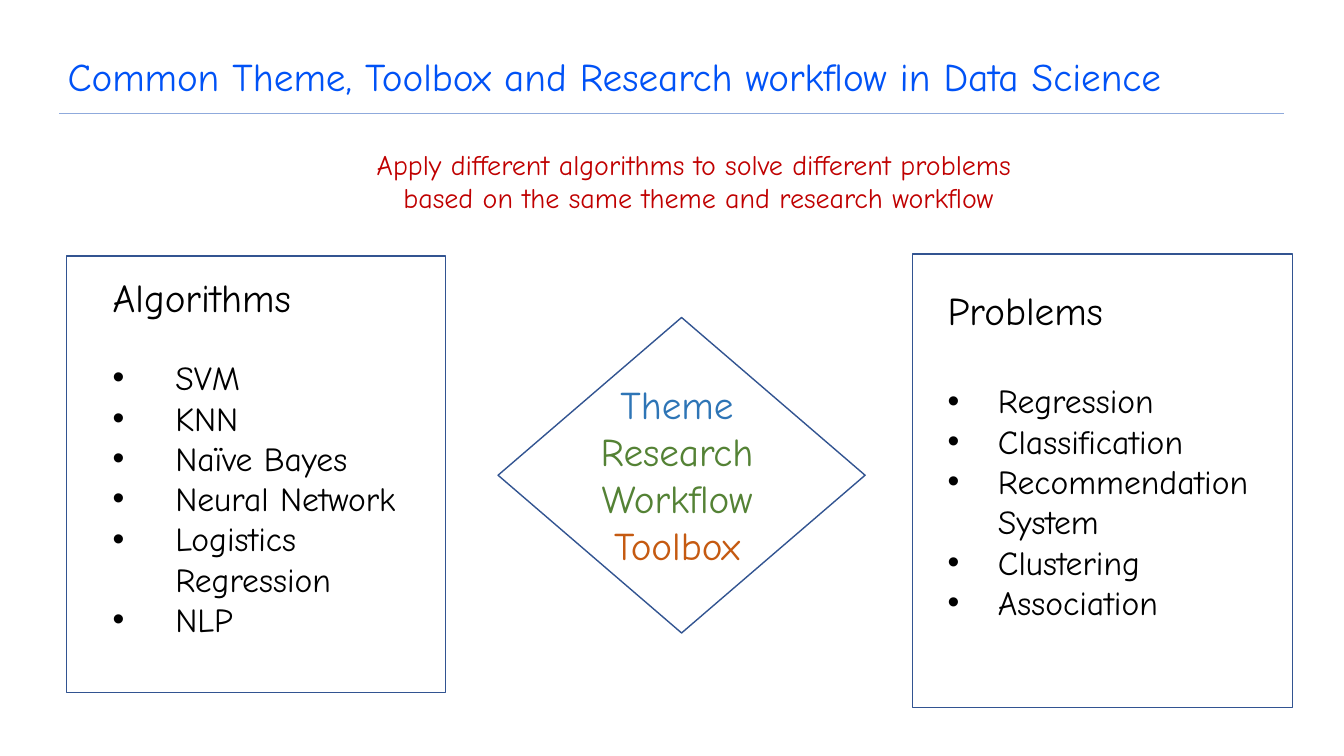
from dataclasses import dataclass
from typing import Any

from lxml import etree
from pptx import Presentation
from pptx import util as u
from pptx.dml import color
from pptx.enum import shapes, text
from pptx.oxml import ns


@dataclass(frozen=True)
class Theme:
    font: str = "Comic Neue"
    title: str = "0052F6"
    rule: str = "8FAADC"
    outline: str = "325491"
    body: str = "000000"
    message: str = "C00000"
    blue: str = "2E75B6"
    green: str = "548235"
    orange: str = "C55A11"
    heading_size: int = 28
    item_size: int = 24
    message_size: int = 20


@dataclass(frozen=True)
class Box:
    left: float
    top: float
    width: float
    height: float

    def lengths(self) -> tuple[u.Length, ...]:
        return tuple(u.Inches(n) for n in (self.left, self.top, self.width, self.height))


@dataclass(frozen=True)
class Line:
    words: str
    size: int
    color: str
    format: dict[str, Any]
    bullet_indent: float = 0


@dataclass(frozen=True)
class Panel:
    heading: str
    items: tuple[str, ...]
    frame: Box
    text_box: Box
    heading_gap: float
    indent: float


THEME = Theme()
CENTRED = {"alignment": text.PP_ALIGN.CENTER}

PANELS = (
    Panel(
        "Algorithms",
        ("SVM", "KNN", "Naïve Bayes", "Neural Network", "Logistics Regression", "NLP"),
        Box(0.66, 2.54, 3.76, 4.33),
        Box(1.02, 2.66, 3.2, 4.58),
        26.4,
        0.62,
    ),
    Panel(
        "Problems",
        ("Regression", "Classification", "Recommendation System", "Clustering", "Association"),
        Box(9.05, 2.52, 3.77, 4.5),
        Box(9.3, 2.79, 3.46, 3.47),
        33.6,
        0.5,
    ),
)


def set_attributes(target: Any, values: dict[str, Any]) -> None:
    for name, value in values.items():
        setattr(target, name, value)


def add_bullet(paragraph: Any, indent: float) -> None:
    properties = paragraph._p.get_or_add_pPr()
    properties.set("marL", str(u.Inches(indent)))
    properties.set("indent", str(-u.Inches(indent)))
    etree.SubElement(properties, ns.qn("a:buFont")).set("typeface", "Arial")
    etree.SubElement(properties, ns.qn("a:buChar")).set("char", "•")


def write_lines(shape: Any, lines: list[Line]) -> None:
    frame = shape.text_frame
    frame.word_wrap = True
    for index, line in enumerate(lines):
        paragraph = frame.add_paragraph() if index else frame.paragraphs[0]
        set_attributes(paragraph, line.format)
        if line.bullet_indent:
            add_bullet(paragraph, line.bullet_indent)
        run = paragraph.add_run()
        run.text = line.words
        set_attributes(run.font, {"name": THEME.font, "size": u.Pt(line.size)})
        run.font.color.rgb = color.RGBColor.from_string(line.color)


def add_text(slide: Any, box: Box, lines: list[Line]) -> None:
    write_lines(slide.shapes.add_textbox(*box.lengths()), lines)


def add_outline(slide: Any, kind: shapes.MSO_SHAPE, box: Box) -> None:
    shape = slide.shapes.add_shape(kind, *box.lengths())
    shape.shadow.inherit = False
    shape.fill.background()
    shape.line.color.rgb = color.RGBColor.from_string(THEME.outline)
    shape.line.width = u.Pt(1)


def add_title(slide: Any, words: str) -> None:
    title = slide.shapes.title
    names = ("left", "top", "width", "height")
    set_attributes(title, dict(zip(names, Box(0.57, 0.34, 12.25, 0.7).lengths())))
    title.text_frame.vertical_anchor = text.MSO_ANCHOR.BOTTOM
    layout = {"alignment": text.PP_ALIGN.LEFT, "line_spacing": 0.9}
    write_lines(title, [Line(words, THEME.heading_size, THEME.title, layout)])


def add_rule(slide: Any) -> None:
    ends = (u.Inches(n) for n in (0.59, 1.12, 12.74, 1.12))
    rule = slide.shapes.add_connector(shapes.MSO_CONNECTOR.STRAIGHT, *ends)
    rule.line.color.rgb = color.RGBColor.from_string(THEME.rule)
    rule.line.width = u.Pt(0.5)
    etree.SubElement(rule._element.spPr, ns.qn("a:effectLst"))


def add_panel(slide: Any, panel: Panel) -> None:
    add_outline(slide, shapes.MSO_SHAPE.RECTANGLE, panel.frame)
    spacing = {"space_after": u.Pt(panel.heading_gap)}
    heading = Line(panel.heading, THEME.heading_size, THEME.body, spacing)
    items = [Line(item, THEME.item_size, THEME.body, {}, panel.indent) for item in panel.items]
    add_text(slide, panel.text_box, [heading, *items])


def main() -> None:
    """Build the slide on the common theme, toolbox and workflow of data science."""
    presentation = Presentation()
    set_attributes(
        presentation, {"slide_width": u.Inches(13.33), "slide_height": u.Inches(7.5)}
    )
    slide = presentation.slides.add_slide(presentation.slide_layouts.get_by_name("Title Only"))
    add_rule(slide)
    add_title(slide, "Common Theme, Toolbox and Research workflow in Data Science")
    message = (
        "Apply different algorithms to solve different problems ",
        "based on the same theme and research workflow",
    )
    add_text(
        slide,
        Box(1.24, 1.41, 11.38, 0.77),
        [Line(words, THEME.message_size, THEME.message, CENTRED) for words in message],
    )
    for panel in PANELS:
        add_panel(slide, panel)
    add_outline(slide, shapes.MSO_SHAPE.FLOWCHART_DECISION, Box(4.94, 3.15, 3.64, 3.13))
    core = {"Theme": THEME.blue, "Research Workflow": THEME.green, "Toolbox": THEME.orange}
    add_text(
        slide,
        Box(5.3, 3.72, 2.83, 1.99),
        [Line(words, THEME.heading_size, shade, CENTRED) for words, shade in core.items()],
    )
    presentation.save("out.pptx")


if __name__ == "__main__":
    main()
